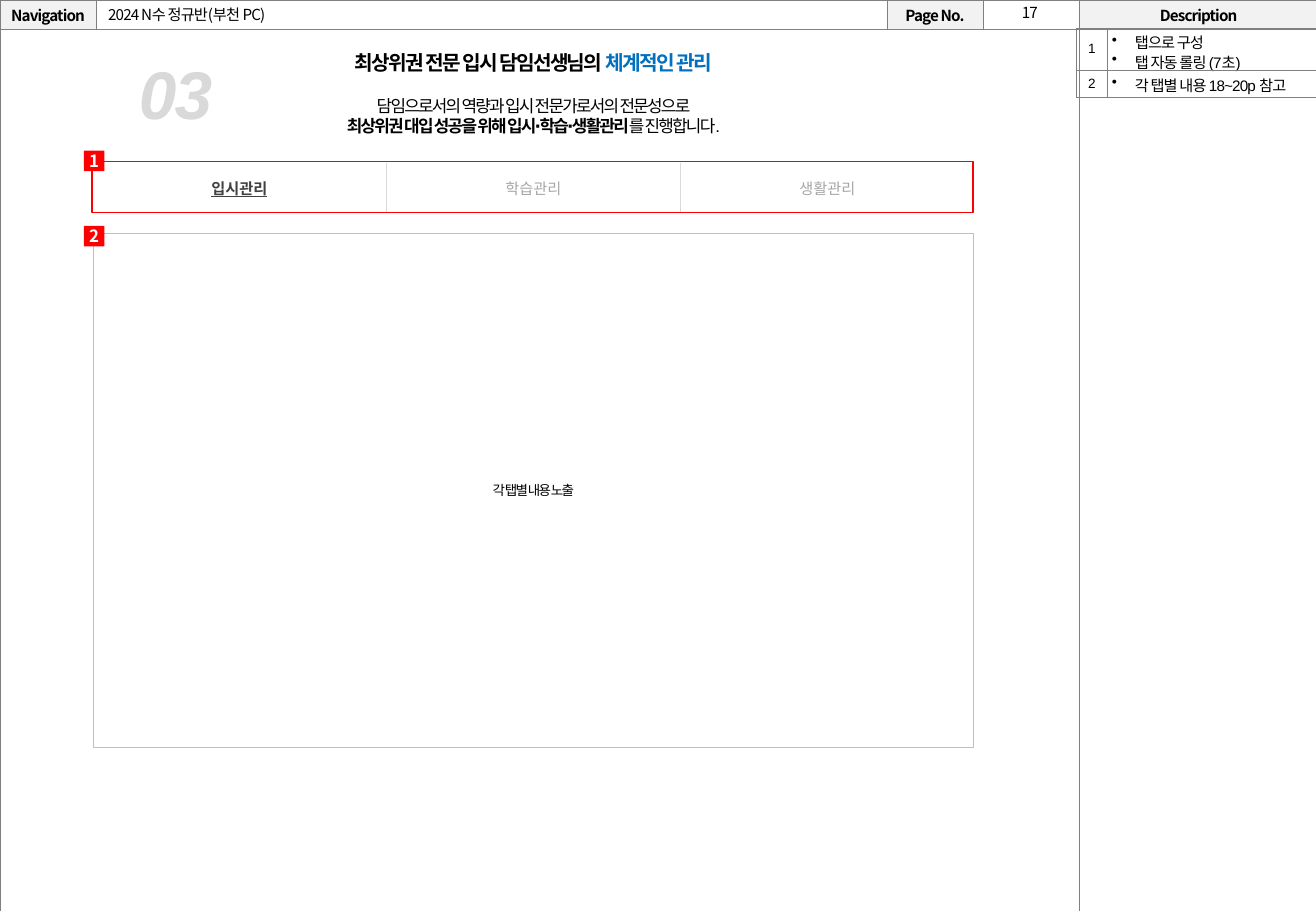
"""Builds the wireframe slide for the tabbed care section of a class page."""
from lxml import etree
from pptx import Presentation
from pptx import util as u
from pptx.dml.color import RGBColor
from pptx.enum import shapes, text
from pptx.oxml.ns import qn

BLACK = RGBColor(0, 0, 0)
WHITE = RGBColor(255, 255, 255)
RED = RGBColor(255, 0, 0)
BLUE = RGBColor(0x00, 0x70, 0xC0)
DARK = RGBColor(0x40, 0x40, 0x40)
MID = RGBColor(0xA6, 0xA6, 0xA6)
SILVER = RGBColor(0xBF, 0xBF, 0xBF)
PALE = RGBColor(0xD9, 0xD9, 0xD9)
HEAD = RGBColor(0xF2, 0xF2, 0xF2)
GRID = RGBColor(0x80, 0x80, 0x80)
NOTO = "Noto Sans CJK KR"
CENTER = text.PP_ALIGN.CENTER
MIDDLE = text.MSO_ANCHOR.MIDDLE
NO_STYLE = "{2D5ABB26-0587-4C30-8999-92F81FD0307C}"


def style(para, size, name, color=BLACK, bold=False, gap=0, align=CENTER):
    para.alignment = align
    font = para.font
    font.size, font.name, font.bold = u.Pt(size), name, bold
    font.color.rgb = color
    props = font._rPr
    props.set("spc", str(gap))
    latin = props.find(qn("a:latin"))
    latin.addnext(etree.Element(qn("a:ea"), typeface=NOTO))
    if not para.runs:
        etree.SubElement(para._p, qn("a:endParaRPr"), sz=str(size * 100))


def grid(box, cols, rows, sides, color, width, inset):
    frame = slide.shapes.add_table(len(rows), len(cols), *map(u.Inches, box))
    table = frame.table
    table._tbl.tblPr.find(qn("a:tableStyleId")).text = NO_STYLE
    table.first_row = table.horz_banding = False
    for col, size in zip(table.columns, cols):
        col.width = u.Inches(size)
    for row, size in zip(table.rows, rows):
        row.height = u.Inches(size)
    for cell in table.iter_cells():
        cell.margin_left = cell.margin_right = u.Inches(inset)
        cell.margin_top = cell.margin_bottom = u.Inches(inset)
        cell.vertical_anchor = MIDDLE
        cell.fill.background()
        props = cell._tc.get_or_add_tcPr()
        for i, side in enumerate(sides):
            line = etree.Element(qn("a:ln" + side), w=str(u.Pt(width)))
            fill = etree.SubElement(line, qn("a:solidFill"))
            etree.SubElement(fill, qn("a:srgbClr"), val=str(color))
            props.insert(i, line)
    return table


deck = Presentation()
deck.slide_width, deck.slide_height = u.Inches(10.83), u.Inches(7.5)
slide = deck.slides.add_slide(deck.slide_layouts[5])

page = grid((0, 0, 10.84, 7.51), (0.79, 6.51, 0.79, 0.79, 1.97),
            (0.24, 7.27), "LRTB", GRID, 0.25, 0)
page.cell(1, 0).merge(page.cell(1, 3))
for i, label in enumerate(("Navigation", "", "Page No.", "", "Description")):
    cell = page.cell(0, i)
    cell.text = label
    style(cell.text_frame.paragraphs[0], 9, NOTO, bold=True, gap=-50)
    if label:
        cell.fill.solid()
        cell.fill.fore_color.rgb = HEAD

title = slide.shapes.title
title.left, title.top = u.Inches(0.79), u.Inches(0)
title.width, title.height = u.Inches(6.52), u.Inches(0.23)
title.text = "2024 N수 정규반(부천 PC)"
title.text_frame.auto_size = text.MSO_AUTO_SIZE.NONE
title.text_frame.vertical_anchor = MIDDLE
style(title.text_frame.paragraphs[0], 9, NOTO, gap=-50, align=text.PP_ALIGN.LEFT)

for box, label, size, name, color, bold, gap in (
        ((8.09, -0.02, 0.77, 0.25), "17", 9, NOTO, BLACK, False, -50),
        ((1.01, 0.38, 0.87, 0.77), "03", 40, "Arial", PALE, True, -100)):
    note = slide.shapes.add_textbox(*map(u.Inches, box))
    note.text_frame.word_wrap = True
    para = note.text_frame.paragraphs[0]
    para.text = label
    style(para, size, name, color, bold, gap)
    para.font.italic = bold

intro = slide.shapes.add_textbox(*map(u.Inches, (0.77, 0.36, 7.24, 0.98)))
intro.text_frame.word_wrap = True
for i, (size, pitch, runs) in enumerate((
        (12, 15, (("최상위권 전문 입시 담임선생님의 ", True, BLACK),
                  ("체계적인 관리", True, BLUE))),
        (10, 12, (("담임으로서의 역량과 입시 전문가로서의 전문성으로", False, BLACK),)),
        (10, 12, (("최상위권 대입 성공을 위해 입시∙학습∙생활관리", True, BLACK),
                  ("를 진행합니다.", False, BLACK))))):
    para = intro.text_frame.paragraphs[0] if i == 0 else intro.text_frame.add_paragraph()
    for words, bold, color in runs:
        run = para.add_run()
        run.text = words
        run.font.bold = bold
        run.font.color.rgb = color
    style(para, size, "Arial", gap=-100)
    para.line_spacing = u.Pt(pitch)
    if i == 1:
        para.space_before = u.Pt(12)

tabs = grid((0.76, 1.34, 7.25, 0.41), (2.42,) * 3, (0.41,), "", PALE, 1, 0.05)
for i, label in enumerate(("입시관리", "학습관리", "생활관리")):
    cell = tabs.cell(0, i)
    cell.text = label
    para = cell.text_frame.paragraphs[0]
    style(para, 9, "DejaVu Sans", MID if i else DARK, i == 0)
    para.font.underline = i == 0
for i in (1, 2):
    x = u.Inches(0.76 + 2.42 * i)
    rule = slide.shapes.add_connector(
        shapes.MSO_CONNECTOR.STRAIGHT, x, u.Inches(1.34), x, u.Inches(1.75))
    rule.line.color.rgb = PALE
    rule.line.width = u.Pt(1)
    etree.SubElement(rule._element.spPr, qn("a:effectLst"))

for box, label, size, name, color, fill, line, width, gap in (
        ((0.77, 1.92, 7.24, 4.23), "각 탭별 내용 노출", 8, "Arial", BLACK, WHITE, SILVER, 0.25, -100),
        ((0.76, 1.33, 7.25, 0.42), "", 9, NOTO, BLACK, None, RED, 1, 0),
        ((0.69, 1.24, 0.17, 0.17), "1", 10, NOTO, WHITE, RED, None, 0, 0),
        ((0.69, 1.86, 0.17, 0.17), "2", 10, NOTO, WHITE, RED, None, 0, 0)):
    shape = slide.shapes.add_shape(shapes.MSO_SHAPE.RECTANGLE, *map(u.Inches, box))
    shape.shadow.inherit = False
    if fill is None:
        shape.fill.background()
    else:
        shape.fill.solid()
        shape.fill.fore_color.rgb = fill
    if line is None:
        shape.line.fill.background()
    else:
        shape.line.color.rgb = line
        shape.line.width = u.Pt(width)
    if label:
        frame = shape.text_frame
        frame.text = label
        frame.word_wrap = fill == WHITE
        frame.vertical_anchor = MIDDLE
        style(frame.paragraphs[0], size, name, color, fill == RED, gap)

notes = grid((8.86, 0.23, 1.97, 0.56), (0.25, 1.72), (0.35, 0.21), "LRTB", GRID, 0.25, 0.04)
for i, lines in enumerate((("탭으로 구성", "탭 자동 롤링 (7초)"),
                           ("각 탭별 내용 18~20p 참고",))):
    mark, body = notes.cell(i, 0), notes.cell(i, 1)
    mark.text, body.text = str(i + 1), "\n".join(lines)
    style(mark.text_frame.paragraphs[0], 8, "Arial", gap=-100)
    for para in body.text_frame.paragraphs:
        props = para._p.get_or_add_pPr()
        props.set("marL", str(u.Inches(0.19)))
        props.set("indent", str(u.Inches(-0.19)))
        etree.SubElement(props, qn("a:buChar"), char="•")
        style(para, 9, "Arial", gap=-50, align=text.PP_ALIGN.LEFT)
        para.line_spacing = 0.9

deck.save("out.pptx")
